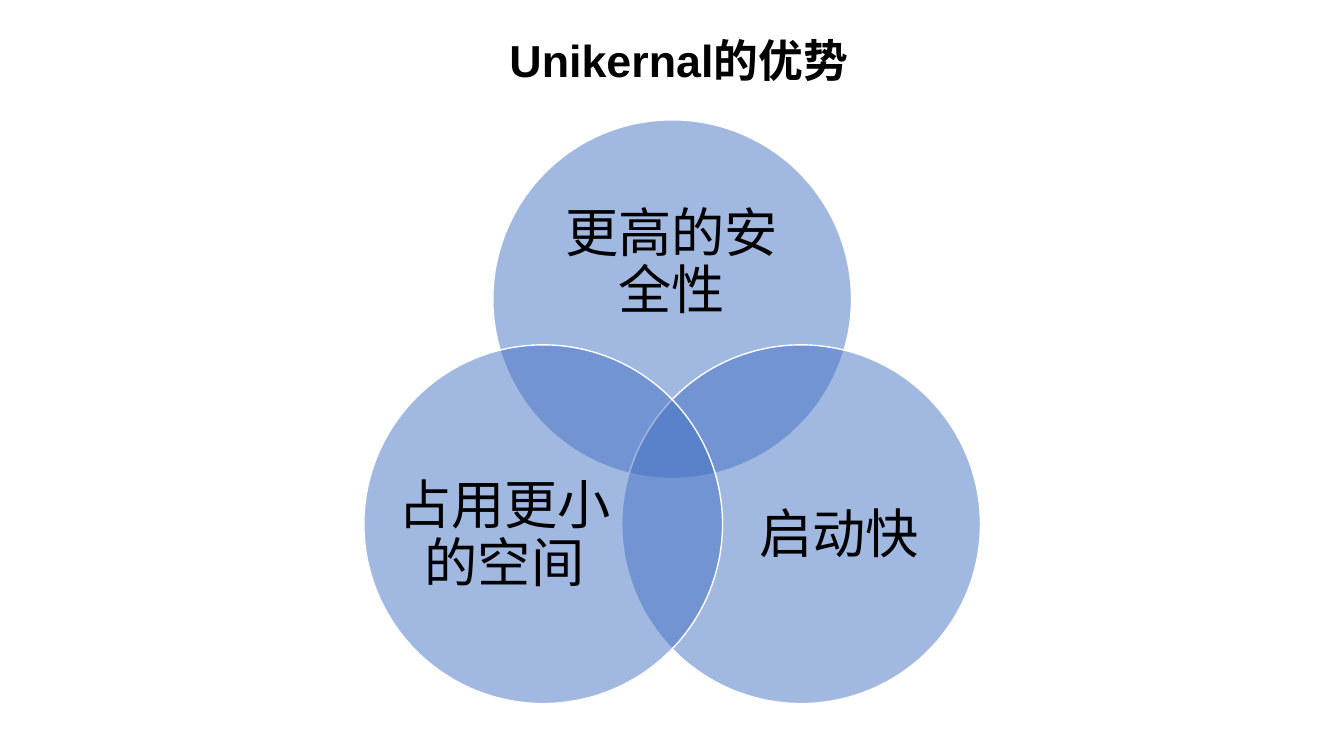
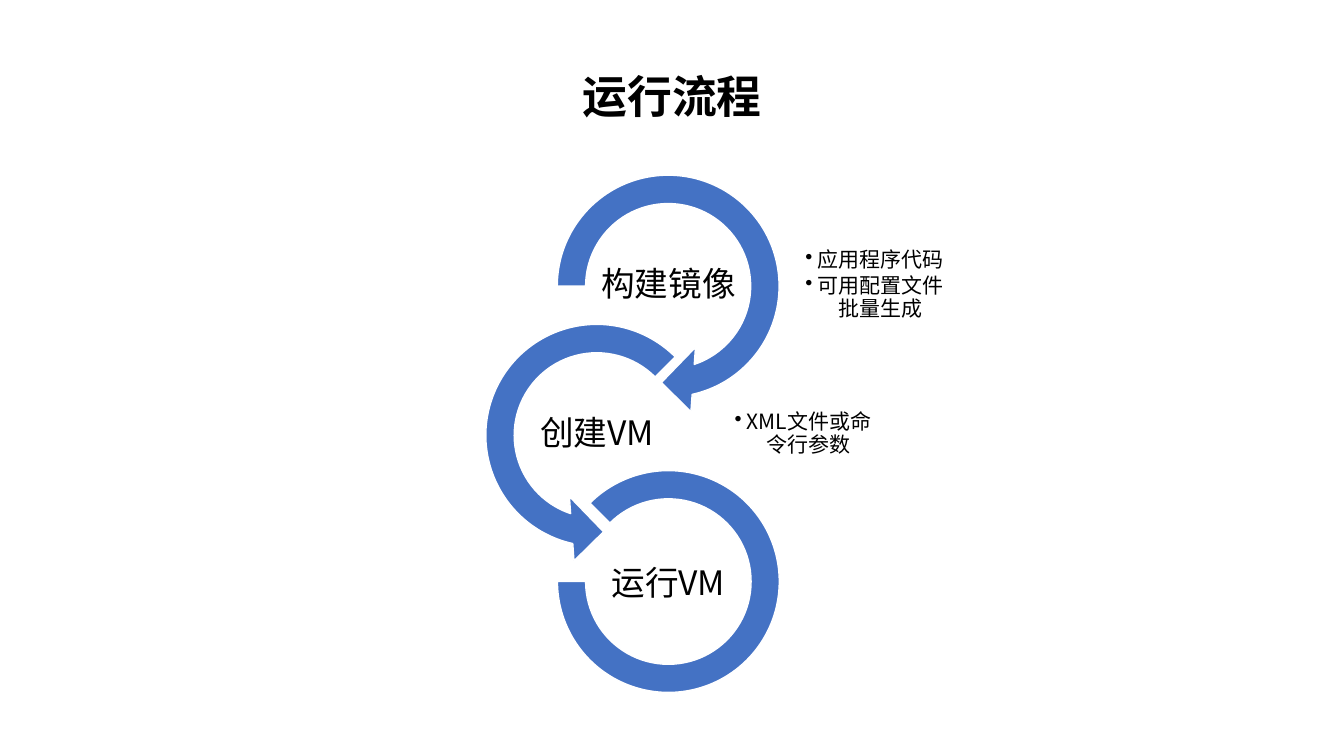
"""Build two slides: the advantages of a unikernel and its run process."""
from lxml import etree
from pptx import Presentation
from pptx import util as u
from pptx.dml.color import RGBColor
from pptx.enum import shapes, text
from pptx.oxml.ns import qn

COLORS = {"fill": "4472C4", "line": "FFFFFF", "text": "000000"}
CJK = "Noto Sans CJK SC"
SHAPE = shapes.MSO_SHAPE


def rgb(name):
    return RGBColor.from_string(COLORS[name])


def sub(parent, tag, **attrs):
    return etree.SubElement(parent, qn(tag), attrs)


def add_text(s, content, left, top, width, height, size=24, font=CJK, bold=False,
             inset=0.0, anchor=text.MSO_ANCHOR.MIDDLE, spacing=0.9, after=35, bullet=False):
    tb = s.shapes.add_textbox(u.Cm(left), u.Cm(top), u.Cm(width), u.Cm(height))
    tf = tb.text_frame
    tf.word_wrap = True
    tf.vertical_anchor = anchor
    if inset is not None:
        tf.margin_left = tf.margin_right = tf.margin_top = tf.margin_bottom = u.Cm(inset)
    for i, line in enumerate(content.split("\n")):
        p = tf.add_paragraph() if i else tf.paragraphs[0]
        p.alignment = text.PP_ALIGN.CENTER
        p.line_spacing = spacing
        pPr = p._p.get_or_add_pPr()
        if after:
            sub(sub(pPr, "a:spcAft"), "a:spcPct", val=str(after * 1000))
        if bullet:
            p.level = 1
            pPr.set("marL", str(u.Cm(0.3)))
            pPr.set("indent", str(u.Cm(-0.3)))
            sub(pPr, "a:buChar", char="•")
        r = p.add_run()
        r.text = line
        r.font.size = u.Pt(size)
        r.font.bold = bold
        r.font.name = font
        r.font.color.rgb = rgb("text")
        sub(r._r.get_or_add_rPr(), "a:ea", typeface=CJK)
    return tb


def add_title(s, content, left, top, width, font=CJK):
    tb = add_text(s, content, left, top, width, 1.63, size=32, font=font, bold=True,
                  inset=None, anchor=text.MSO_ANCHOR.TOP, spacing=1.0, after=0)
    tb.text_frame.auto_size = text.MSO_AUTO_SIZE.SHAPE_TO_FIT_TEXT


def add_figure(s, kind, left, top, size, adjustments=(), alpha=None):
    sp = s.shapes.add_shape(kind, u.Cm(left), u.Cm(top), u.Cm(size), u.Cm(size))
    sp.shadow.inherit = False
    sp.fill.solid()
    sp.fill.fore_color.rgb = rgb("fill")
    sp.line.color.rgb = rgb("line")
    sp.line.width = u.Pt(1)
    for i, value in enumerate(adjustments):
        sp.adjustments[i] = value
    if alpha is not None:
        color = sp._element.spPr.find(qn("a:solidFill")).find(qn("a:srgbClr"))
        sub(color, "a:alpha", val=str(alpha * 1000))


def add_advantages(s):
    venn = (
        ("更高的安全性", 12.42, 3.02, (13.61, 4.62, 6.63, 4.06)),
        ("启动快", 15.67, 8.69, (18.44, 11.02, 5.41, 4.98)),
        ("占用更小的空间", 9.17, 8.69, (10.01, 11.02, 5.41, 4.98)),
    )
    for label, left, top, box in venn:
        add_figure(s, SHAPE.OVAL, left, top, 9.04, alpha=50)
        add_text(s, label, *box, size=38)
    add_title(s, "Unikernal的优势", 10.8, 0.69, 12.62, font="Arial")


def add_process(s):
    right, left, top, step, size = 13.59, 11.79, 3.96, 3.76, 6.5
    stages = (
        ("构建镜像", "应用程序代码\n可用配置文件批量生成", right,
         SHAPE.CIRCULAR_ARROW, (0.11, 11.42, 45, 108, 0.125)),
        ("创建VM", "XML文件或命令行参数", left,
         SHAPE.LEFT_CIRCULAR_ARROW, (0.11, 11.42, 63, 189, 0.125)),
        ("运行VM", None, right, SHAPE.BLOCK_ARC, (135, 108, 0.127)),
    )
    for i, (label, detail, x, kind, adjustments) in enumerate(stages):
        y = top + i * step
        if kind == SHAPE.BLOCK_ARC:
            add_figure(s, kind, x + 0.46, y + 0.38, 5.59, adjustments)
        else:
            add_figure(s, kind, x, y, size, adjustments)
        if detail:
            add_text(s, detail, x + size, y + 1.93, 3.89, 2.59, size=15,
                     inset=0.03, after=15, bullet=True)
        add_text(s, label, x + 1.45, y + 2.34, 3.61, 1.8, inset=0.05)
    add_title(s, "运行流程", 9.32, 1.6, 15.24)


def main():
    prs = Presentation()
    prs.slide_width, prs.slide_height = u.Cm(33.87), u.Cm(19.05)
    for build in (add_advantages, add_process):
        build(prs.slides.add_slide(prs.slide_layouts[6]))
    prs.save("out.pptx")


if __name__ == "__main__":
    main()
